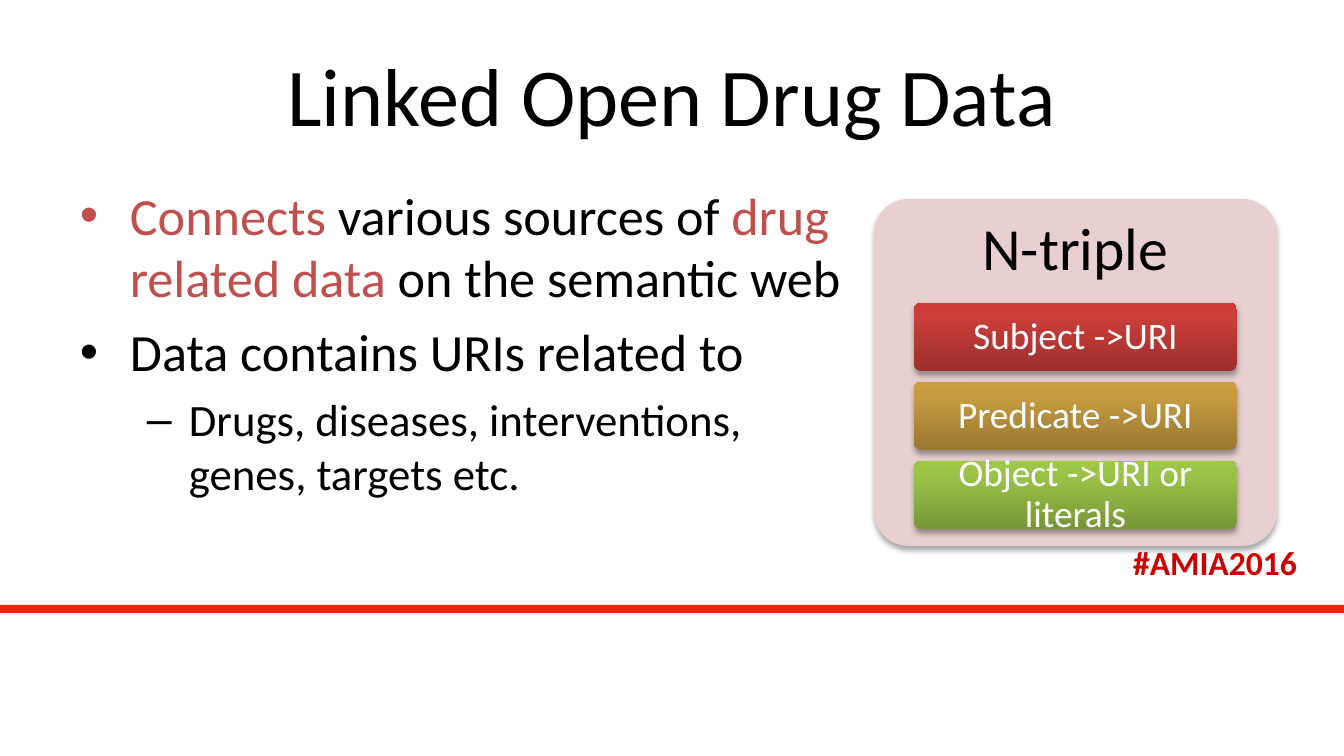
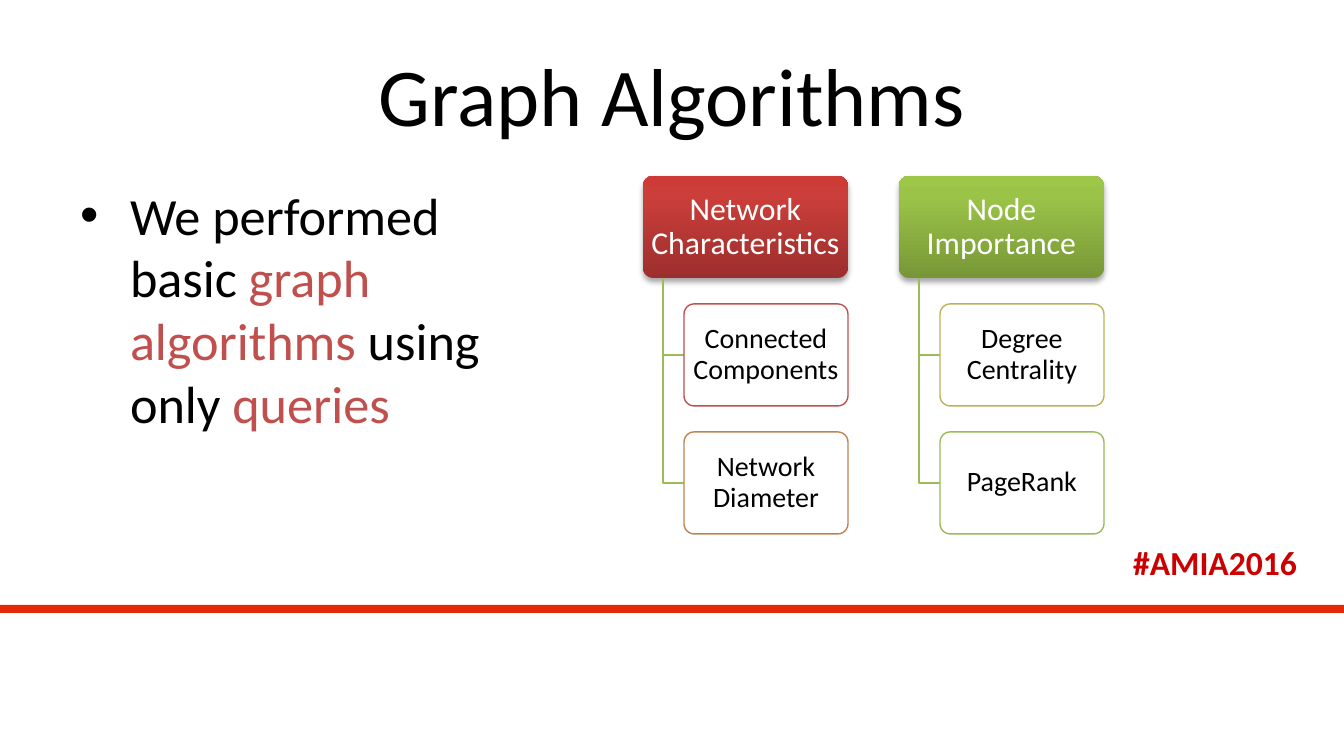
from copy import deepcopy

from lxml import etree
from pptx import Presentation
from pptx import util as u
from pptx.dml.color import RGBColor
from pptx.enum import shapes, text
from pptx.oxml import ns

PX = 914400 / 134.4
FONT = "Calibri"
COLORS = {
    "black": "000000",
    "white": "FFFFFF",
    "accent": "C0504D",
    "tag": "CC0000",
    "bar": "E42909",
    "panel": "E8D0D0",
    "elbow": "9BBB59",
    "orange": "BE8351",
    "olive": "BDB255",
    "green": "9BBB59",
}
GRADIENTS = {
    "red": ("9C2F2D", "CB3E3A", "CE3B37"),
    "gold": ("997832", "C79C41", "CB9D3F"),
    "green": ("779737", "9BC348", "9DC746"),
}
STOPS = (0, 0.8, 1)
BULLETS = [("•", 50, 50, 28, 6), ("–", 109, 42, 24, 5)]


def px(n):
    return u.Emu(round(n * PX))


def rgb(name):
    return RGBColor.from_string(COLORS[name])


def sub(parent, tag, **attrs):
    return etree.SubElement(parent, ns.qn(tag), {k: str(v) for k, v in attrs.items()})


def add_run(p, words, size, color, bold=False):
    r = p.add_run()
    r.text = words
    r.font.name = FONT
    r.font.size = u.Pt(size)
    r.font.bold = bold
    r.font.color.rgb = rgb(color)


def set_frame(tf, inset_x=13, inset_y=7, anchor=text.MSO_ANCHOR.MIDDLE):
    tf.word_wrap = True
    tf.vertical_anchor = anchor
    tf.margin_left = tf.margin_right = px(inset_x)
    tf.margin_top = tf.margin_bottom = px(inset_y)


def add_label(sp, words, size, color, insets=(13, 7), spacing=None, bold=False):
    set_frame(sp.text_frame, *insets)
    p = sp.text_frame.paragraphs[0]
    p.alignment = text.PP_ALIGN.CENTER
    p.line_spacing = spacing
    add_run(p, words, size, color, bold)


def add_textbox(s, box):
    return s.shapes.add_textbox(*map(px, box))


def add_box(s, box, kind=shapes.MSO_SHAPE.ROUNDED_RECTANGLE):
    sp = s.shapes.add_shape(kind, *map(px, box))
    sp.shadow.inherit = False
    sp.line.fill.background()
    if len(sp.adjustments):
        sp.adjustments[0] = 0.1
    return sp


def fill_solid(sp, color, alpha=None):
    sp.fill.solid()
    sp.fill.fore_color.rgb = rgb(color)
    if alpha:
        sub(sp._element.spPr.find(".//" + ns.qn("a:srgbClr")), "a:alpha", val=alpha * 1000)


def fill_gradient(sp, name):
    sp.fill.gradient()
    stops = sp._element.spPr.find(".//" + ns.qn("a:gsLst"))
    stops.append(deepcopy(stops[0]))
    for stop, position, color in zip(sp.fill.gradient_stops, STOPS, GRADIENTS[name]):
        stop.position = position
        stop.color.rgb = RGBColor.from_string(color)
    sp.fill.gradient_angle = 90


def add_shadow(sp):
    effects = sp._element.spPr.find(ns.qn("a:effectLst"))
    shadow = sub(effects, "a:outerShdw", blurRad=u.Pt(3.1), dist=u.Pt(1.8),
                 dir=5400000, rotWithShape=0)
    sub(sub(shadow, "a:srgbClr", val=COLORS["black"]), "a:alpha", val=35000)


def add_gradient_box(s, box, words, size, gradient, insets):
    sp = add_box(s, box)
    fill_gradient(sp, gradient)
    add_shadow(sp)
    add_label(sp, words, size, "white", insets, 0.9)


def add_base(prs, title):
    s = prs.slides.add_slide(prs.slide_layouts[6])
    add_label(add_textbox(s, (1109, 535, 212, 54)), "#AMIA2016", 18, "tag", bold=True)
    fill_solid(add_box(s, (0, 605, 1344, 8), shapes.MSO_SHAPE.RECTANGLE), "bar")
    add_label(add_textbox(s, (67, 31, 1210, 126)), title, 44, "black")
    return s


def add_body(s, box, items):
    tf = add_textbox(s, box).text_frame
    set_frame(tf, anchor=text.MSO_ANCHOR.TOP)
    for i, (level, runs) in enumerate(items):
        mark, margin, hang, size, before = BULLETS[level]
        p = tf.add_paragraph() if i else tf.paragraphs[0]
        p.level = level
        pPr = p._p.get_or_add_pPr()
        pPr.set("marL", str(px(margin)))
        pPr.set("indent", str(-px(hang)))
        sub(pPr, "a:buFont", typeface="Arial")
        sub(pPr, "a:buChar", char=mark)
        if i:
            p.space_before = u.Pt(before)
        for words, color in runs:
            add_run(p, words, size, color)


def add_triple_panel(s, box, heading, parts):
    x, y, w, h = box
    panel = add_box(s, box)
    fill_solid(panel, "panel")
    add_shadow(panel)
    add_label(add_textbox(s, (x, y, w, 104)), heading, 32, "black", (17, 17), 0.9)
    for i, (words, gradient) in enumerate(parts):
        add_gradient_box(s, (x + 40, y + 104 + 79 * i, w - 80, 68),
                         words, 20, gradient, (8, 5))


def add_elbow(s, x, top, right, bottom):
    builder = s.shapes.build_freeform(px(x), px(top))
    builder.add_line_segments([(px(x), px(bottom)), (px(right), px(bottom))], close=False)
    sp = builder.convert_to_shape()
    sp.shadow.inherit = False
    sp.fill.background()
    sp.line.color.rgb = rgb("elbow")
    sp.line.width = u.Pt(0.75)


def add_branch(s, box, heading, gradient, leaves):
    x, y, w, h = box
    pitch, indent = h + 26, 41
    add_gradient_box(s, box, heading, 17, gradient, (4, 3))
    for i, (words, color) in enumerate(leaves, 1):
        top = y + pitch * i
        add_elbow(s, x + 20, y + h, x + indent, top + h // 2)
        leaf = add_box(s, (x + indent, top, w - indent, h))
        fill_solid(leaf, "white", 90)
        leaf.line.color.rgb = rgb(color)
        leaf.line.width = u.Pt(0.75)
        add_label(leaf, words, 15, "black", (4, 3), 0.9)


def build_drug_data(prs):
    s = add_base(prs, "Linked Open Drug Data")
    add_body(s, (67, 176, 806, 499), [
        (0, [("Connects", "accent"), (" various sources of ", "black"),
             ("drug related data", "accent"), (" on the semantic web", "black")]),
        (0, [("Data contains URIs related to", "black")]),
        (1, [("Drugs, diseases, interventions, genes, targets etc.", "black")]),
    ])
    add_triple_panel(s, (874, 199, 403, 347), "N-triple", [
        ("Subject ->URI", "red"),
        ("Predicate ->URI", "gold"),
        ("Object ->URI or literals", "green"),
    ])


def build_algorithms(prs):
    s = add_base(prs, "Graph Algorithms")
    add_body(s, (67, 176, 504, 499), [
        (0, [("We performed basic ", "black"), ("graph algorithms", "accent"),
             (" using only ", "black"), ("queries", "accent")]),
    ])
    branches = [
        ("Network Characteristics", "red",
         [("Connected Components", "accent"), ("Network Diameter", "orange")]),
        ("Node Importance", "green",
         [("Degree Centrality", "olive"), ("PageRank", "green")]),
    ]
    for i, branch in enumerate(branches):
        add_branch(s, (643 + 256 * i, 176, 205, 102), *branch)


def main():
    prs = Presentation()
    prs.slide_width, prs.slide_height = px(1344), px(756)
    build_drug_data(prs)
    build_algorithms(prs)
    prs.save("out.pptx")


if __name__ == "__main__":
    main()
